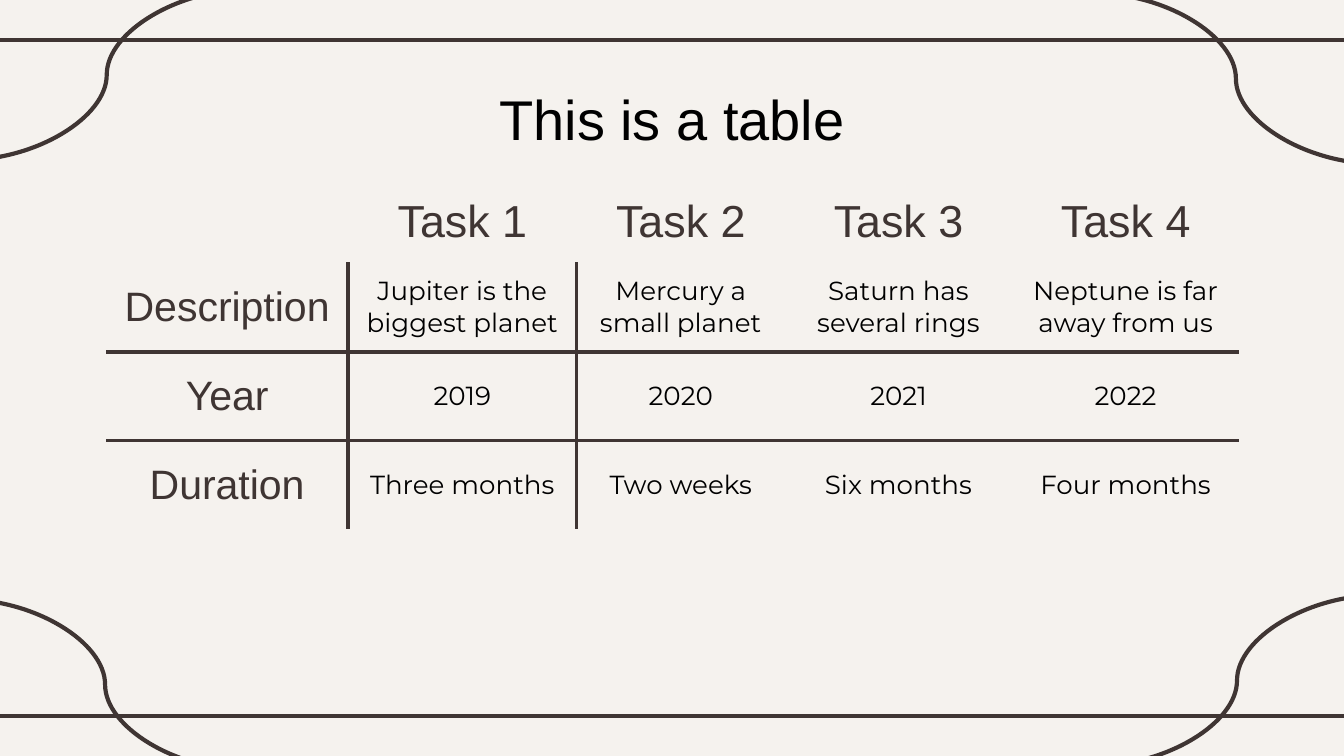
from pptx import Presentation
from pptx.dml.color import RGBColor
from pptx.enum.shapes import MSO_CONNECTOR
from pptx.enum.text import MSO_ANCHOR, PP_ALIGN
from pptx.oxml import parse_xml
from pptx.oxml.ns import nsdecls, qn
from pptx.util import Pt
from lxml.etree import SubElement

COLORS = {"paper": "F5F2EE", "ink": "3F3533", "black": "000000"}
NO_GRID_STYLE = "{2D5ABB26-0587-4C30-8999-92F81FD0307C}"


class Deck:
    """Holds the slide style and draws each kind of element on the current slide."""

    head, body, weight, inset = "Arial", "Montserrat", 2.25, 7.2

    def __init__(self, width, height):
        self.prs = Presentation()
        self.prs.slide_width, self.prs.slide_height = Pt(width), Pt(height)
        self.s = self.prs.slides.add_slide(self.prs.slide_layouts[6])
        fill = self.s.background.fill
        fill.solid()
        fill.fore_color.rgb = self.color("paper")

    def color(self, name):
        return RGBColor.from_string(COLORS[name])

    def line(self, x1, y1, x2, y2, kind=MSO_CONNECTOR.STRAIGHT):
        sp = self.s.shapes.add_connector(kind, Pt(x1), Pt(y1), Pt(x2), Pt(y2))
        sp.line.color.rgb = self.color("ink")
        sp.line.width = Pt(self.weight)
        SubElement(sp._element.spPr, qn("a:effectLst"))

    def add_text(self, tf, text, size, font, color):
        p = tf.paragraphs[0]
        p.alignment = PP_ALIGN.CENTER
        r = p.add_run()
        r.text = text
        r.font.size, r.font.name = Pt(size), font
        r.font.color.rgb = self.color(color)

    def title(self, text, x, y, w, h):
        tf = self.s.shapes.add_textbox(Pt(x), Pt(y), Pt(w), Pt(h)).text_frame
        tf.word_wrap = True
        tf.margin_left = tf.margin_right = Pt(self.inset)
        tf.margin_top, tf.margin_bottom = Pt(10), Pt(0)
        self.add_text(tf, text, 30, self.head, "black")

    def border(self, cell, side):
        cell._tc.get_or_add_tcPr().append(parse_xml(
            f'<a:ln{side} {nsdecls("a")} w="{Pt(self.weight)}"><a:solidFill>'
            f'<a:srgbClr val="{COLORS["ink"]}"/></a:solidFill></a:ln{side}>'))

    def cell_style(self, row, col):
        if row == 0:
            return 24, self.head, "ink"
        if col == 0:
            return 22, self.head, "ink"
        return 14, self.body, "black"

    def table(self, rows, x, y, widths, heights):
        last = len(rows) - 1
        frame = self.s.shapes.add_table(len(rows), len(widths), Pt(x), Pt(y),
                                        Pt(sum(widths)), Pt(sum(heights)))
        table = frame.table
        table.first_row = table.horz_banding = False
        table._tbl.tblPr.find(qn("a:tableStyleId")).text = NO_GRID_STYLE
        for column, width in zip(table.columns, widths):
            column.width = Pt(width)
        for i, (row, height) in enumerate(zip(rows, heights)):
            table.rows[i].height = Pt(height)
            for j, text in enumerate(row):
                cell = table.cell(i, j)
                cell.vertical_anchor = MSO_ANCHOR.MIDDLE
                cell.margin_left = cell.margin_right = Pt(self.inset)
                cell.margin_top = cell.margin_bottom = Pt(self.inset)
                sides = {"L": i > 0 and j == 1, "R": i > 0 and j == 0,
                         "T": i > 1, "B": 0 < i < last}
                for side, shown in sides.items():
                    if shown:
                        self.border(cell, side)
                cell.fill.background()
                if text:
                    self.add_text(cell.text_frame, text, *self.cell_style(i, j))


def main():
    deck = Deck(720, 405)
    for y in (21.5, 383.6):
        deck.line(-5.8, y, 725.8, y)
    curve_w, curve_h = 151.8, 91.4
    for x, y, direction in ((-19.6, 321.1, 1), (586.2, -3.6, 1),
                            (738.6, 318.9, -1), (133.1, -5.6, -1)):
        deck.line(x, y, x + direction * curve_w, y + curve_h, MSO_CONNECTOR.CURVE)
    deck.title("This is a table", 56.2, 35.3, 607.7, 45.4)
    rows = [
        ["", "Task 1", "Task 2", "Task 3", "Task 4"],
        ["Description", "Jupiter is the biggest planet", "Mercury a small planet",
         "Saturn has several rings", "Neptune is far away from us"],
        ["Year", "2019", "2020", "2021", "2022"],
        ["Duration", "Three months", "Two weeks", "Six months", "Four months"],
    ]
    deck.table(rows, 56.9, 97.2, [129.6, 122.4, 111.6, 121.7, 121.7],
               [38.2] + [47.5] * 3)
    deck.prs.save("out.pptx")


if __name__ == "__main__":
    main()
